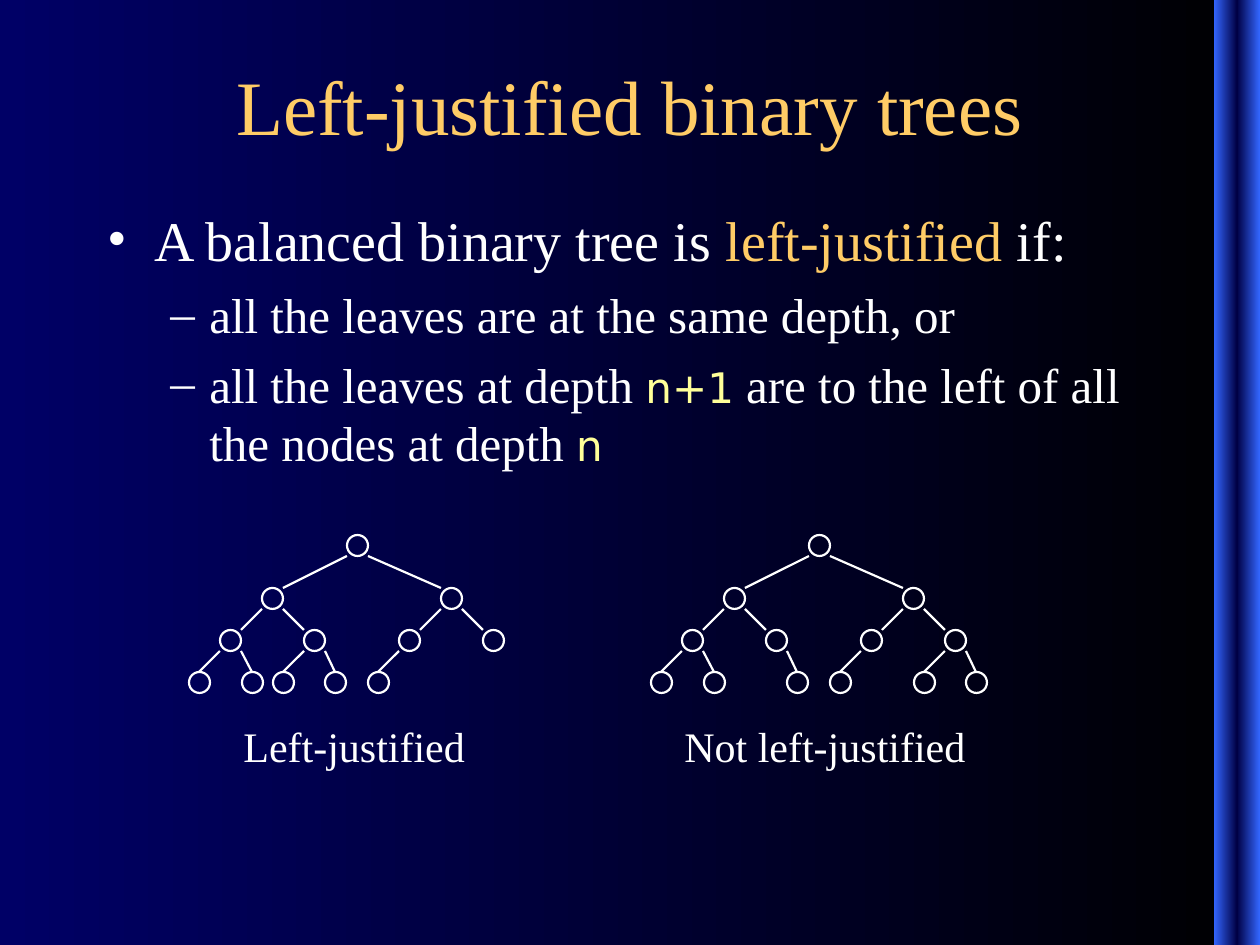
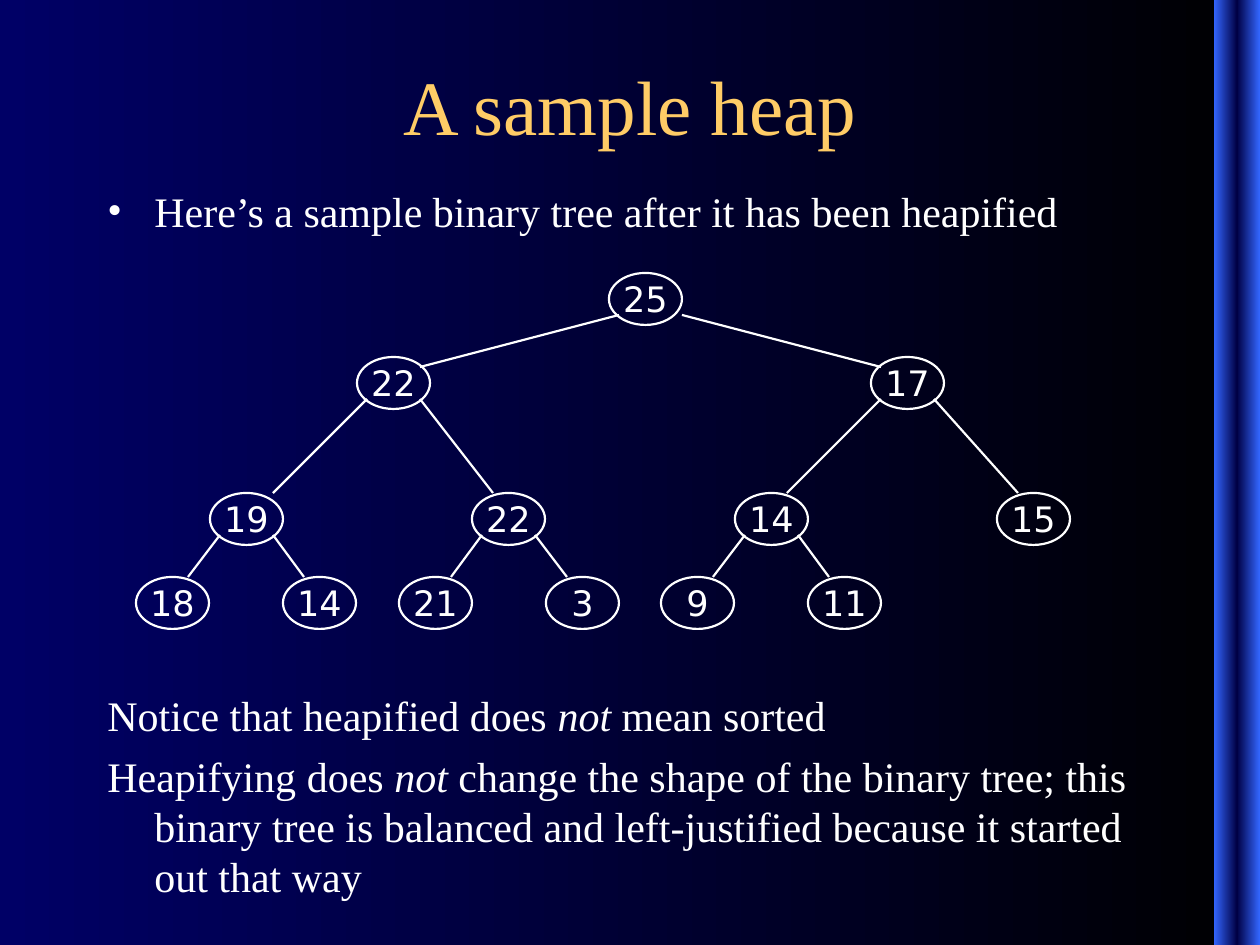
from copy import deepcopy

from lxml.etree import SubElement
from pptx import Presentation
from pptx.dml.color import RGBColor
from pptx.enum.shapes import MSO_CONNECTOR as Connector, MSO_SHAPE as Shape
from pptx.enum.text import MSO_ANCHOR as Anchor, PP_ALIGN as Align
from pptx.oxml.ns import qn
from pptx.util import Pt

PX = 7257
SERIF = "Times New Roman"
SANS = "DejaVu Sans"
WHITE = "FFFFFF"
GOLD = "FFCC66"
YELLOW = "FFFF99"
NAVY = "000066"
BLACK = "000000"
BAND_EDGE = "3366FF"
BAND_CORE = "000044"
LINE_WIDTH = Pt(1.25)


def hex_color(value):
    return RGBColor.from_string(value)


def write(frame, paragraphs):
    frame.margin_left = frame.margin_right = Pt(7.2)
    frame.margin_top = frame.margin_bottom = Pt(3.6)
    for number, (bullet, left, hang, before, align, spans) in enumerate(paragraphs):
        para = frame.add_paragraph() if number else frame.paragraphs[0]
        para.alignment = align
        para.space_before = Pt(before)
        properties = para._p.get_or_add_pPr()
        properties.set("marL", str(left * PX))
        properties.set("indent", str(-hang * PX))
        if bullet:
            tint = SubElement(properties, qn("a:buClr"))
            SubElement(tint, qn("a:srgbClr")).set("val", WHITE)
            SubElement(properties, qn("a:buFont")).set("typeface", SERIF)
            SubElement(properties, qn("a:buChar")).set("char", bullet)
        for text, font, size, color, italic in spans:
            span = para.add_run()
            span.text = text
            span.font.name = font
            span.font.size = Pt(size)
            span.font.italic = italic
            span.font.color.rgb = hex_color(color)


deck = Presentation()
deck.slide_width = 1260 * PX
deck.slide_height = 945 * PX
pages = []

for title in ("Left-justified binary trees", "A sample heap"):
    page = deck.slides.add_slide(deck.slide_layouts[6])
    pages.append(page)

    backdrop = page.background.fill
    backdrop.gradient()
    backdrop.gradient_angle = 0
    for stop, color in zip(backdrop.gradient_stops, (NAVY, BLACK)):
        stop.color.rgb = hex_color(color)

    band = page.shapes.add_shape(Shape.RECTANGLE, 1214 * PX, 0, 46 * PX, 945 * PX)
    band.shadow.inherit = False
    band.line.fill.background()
    band.fill.gradient()
    band.fill.gradient_angle = 0
    stop_list = band.element.xpath(".//a:gsLst")[0]
    stop_list.insert(1, deepcopy(stop_list[0]))
    shades = (BAND_EDGE, BAND_CORE, BAND_EDGE)
    for stop, color, position in zip(band.fill.gradient_stops, shades, (0, 0.5, 1)):
        stop.color.rgb = hex_color(color)
        stop.position = position

    box = page.shapes.add_textbox(42 * PX, 52 * PX, 1176 * PX, 106 * PX)
    box.text_frame.word_wrap = True
    box.text_frame.vertical_anchor = Anchor.MIDDLE
    write(box.text_frame, [(None, 0, 0, 0, Align.CENTER, [(title, SERIF, 44, GOLD, False)])])

trees_page, heap_page = pages

definition = [
    ("•", 47, 47, 8, Align.LEFT, [
        ("A balanced binary tree is ", SERIF, 32, WHITE, False),
        ("left-justified", SERIF, 32, GOLD, False),
        (" if:", SERIF, 32, WHITE, False),
    ]),
    ("–", 102, 39, 7, Align.LEFT, [
        ("all the leaves are at the same depth, or", SERIF, 28, WHITE, False),
    ]),
    ("–", 102, 39, 6, Align.LEFT, [
        ("all the leaves at depth ", SERIF, 28, WHITE, False),
        ("n+1", SANS, 24, YELLOW, False),
        (" are to the left of all the nodes at depth ", SERIF, 28, WHITE, False),
        ("n", SANS, 24, YELLOW, False),
    ]),
]
introduction = [
    ("•", 47, 47, 6, Align.LEFT, [
        ("Here’s a sample binary tree after it has been heapified", SERIF, 24, WHITE, False),
    ]),
]
remarks = [
    (None, 47, 47, 6, Align.LEFT, [
        (start, SERIF, 24, WHITE, False),
        ("not", SERIF, 24, WHITE, True),
        (end, SERIF, 24, WHITE, False),
    ])
    for start, end in (
        ("Notice that heapified does ", " mean sorted"),
        ("Heapifying does ", " change the shape of the binary tree; this binary tree is "
         "balanced and left-justified because it started out that way"),
    )
]
texts = [
    (trees_page, 95, 199, 1071, 305, definition),
    (heap_page, 95, 179, 1071, 105, introduction),
    (heap_page, 95, 683, 1071, 231, remarks),
]

nodes = []
edges = []

RING = 21
tree_lefts = (347, 262, 441, 220, 304, 399, 483,
              189, 242, 273, 325, 368, None, 452, 504)
tree_tops = (535, 588, 630, 672)
captioned_trees = (
    ("Left-justified", 0, 231, 262, range(12)),
    ("Not left-justified", 462, 672, 335, (*range(9), 10, 11, 13, 14)),
)
for caption, shift, caption_left, caption_width, members in captioned_trees:
    for index in members:
        depth = (index + 1).bit_length() - 1
        left = tree_lefts[index] + shift
        top = tree_tops[depth]
        nodes.append((trees_page, left, top, RING, RING, None))
        if index:
            parent = (index - 1) // 2
            is_left = index % 2
            near = RING // 2 if depth == 3 else RING * is_left
            far = 0 if is_left else RING
            edges.append((trees_page, left + near, top,
                          tree_lefts[parent] + shift + far, tree_tops[depth - 1] + RING))
    spans = [(caption, SERIF, 24, WHITE, False)]
    texts.append((trees_page, caption_left, 714, caption_width, 63,
                  [(None, 0, 0, 15, Align.LEFT, spans)]))

NODE_WIDTH, NODE_HEIGHT = 73, 52
heap_values = (25, 22, 17, 19, 22, 14, 15, 18, 14, 21, 3, 9, 11)
heap_lefts = (609, 357, 871, 210, 472, 735, 997, 136, 283, 399, 546, 661, 808)
heap_tops = (273, 357, 493, 577)
join_insets = (0, 10, 21, 21)
join_drops = (0, 10, 0, 0)
for index, (value, left) in enumerate(zip(heap_values, heap_lefts)):
    depth = (index + 1).bit_length() - 1
    top = heap_tops[depth]
    nodes.append((heap_page, left, top, NODE_WIDTH, NODE_HEIGHT, str(value)))
    if index:
        parent = (index - 1) // 2
        is_left = index % 2
        inset = 10 if index == 3 else join_insets[depth]
        near = NODE_WIDTH - inset if is_left else inset
        far = 10 if is_left else NODE_WIDTH - (10 if parent else 0)
        edges.append((heap_page, heap_lefts[parent] + far, heap_tops[depth - 1] + 42,
                      left + near, top + join_drops[depth]))

for page, left, top, width, height, paragraphs in texts:
    box = page.shapes.add_textbox(left * PX, top * PX, width * PX, height * PX)
    box.text_frame.word_wrap = True
    write(box.text_frame, paragraphs)

for page, left, top, width, height, label in nodes:
    node = page.shapes.add_shape(Shape.OVAL, left * PX, top * PX, width * PX, height * PX)
    node.shadow.inherit = False
    node.fill.background()
    node.line.color.rgb = hex_color(WHITE)
    node.line.width = LINE_WIDTH
    if label:
        node.text_frame.word_wrap = False
        node.text_frame.vertical_anchor = Anchor.MIDDLE
        spans = [(label, SANS, 20, WHITE, False)]
        write(node.text_frame, [(None, 0, 0, 0, Align.CENTER, spans)])

for page, *ends in edges:
    edge = page.shapes.add_connector(Connector.STRAIGHT, *(end * PX for end in ends))
    edge.line.color.rgb = hex_color(WHITE)
    edge.line.width = LINE_WIDTH
    SubElement(edge.element.spPr, qn("a:effectLst"))

deck.save("out.pptx")
